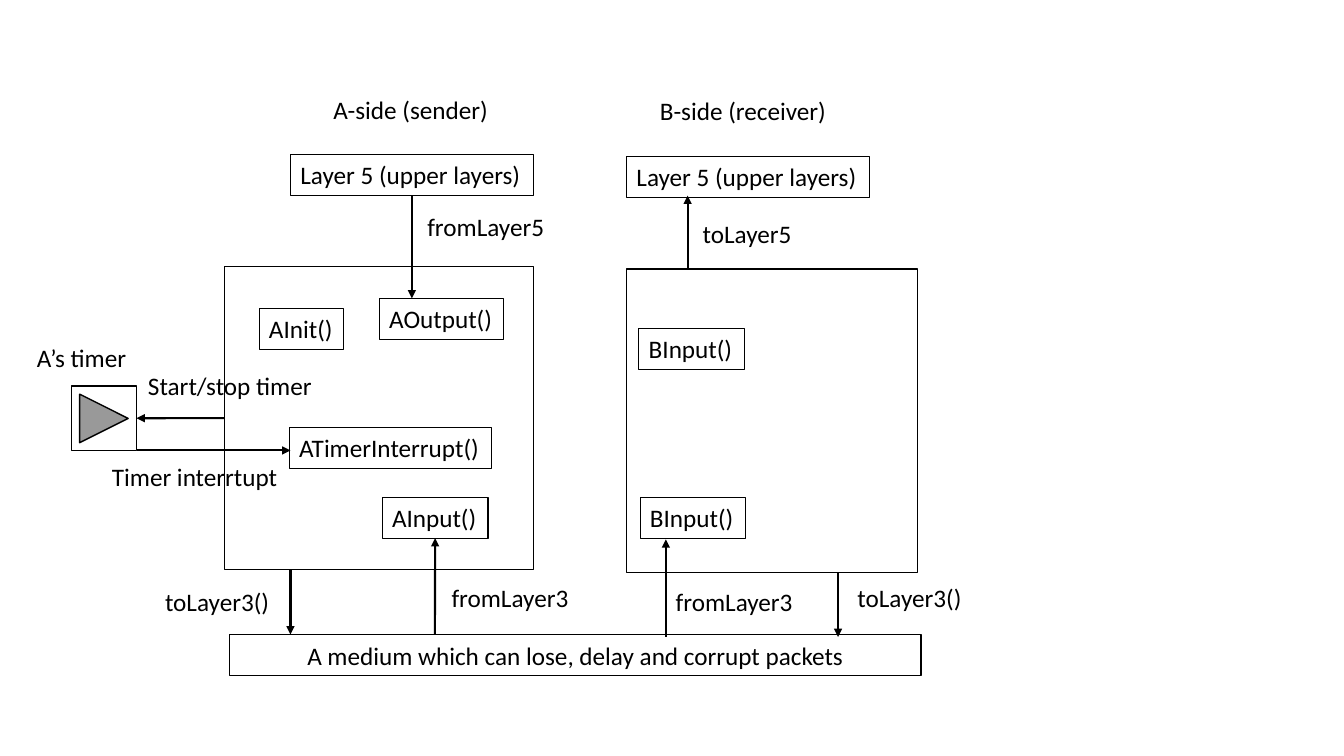
"""Builds a slide of the sender and receiver sides of a layered protocol simulator."""
from dataclasses import dataclass
from typing import Optional

import pptx
import pptx.dml.color
import pptx.enum.shapes
import pptx.enum.text
import pptx.oxml
import pptx.oxml.ns
import pptx.util
from pptx.util import Cm

COLORS = {"ink": "000000", "paper": "FFFFFF"}
FONT = "Calibri"
ROW_H = 1.03
RECT = pptx.enum.shapes.MSO_SHAPE.RECTANGLE
BUTTON = pptx.enum.shapes.MSO_SHAPE.ACTION_BUTTON_FORWARD_OR_NEXT


@dataclass
class Panel:
    key: str
    x: float
    y: float
    w: float
    h: float
    kind: int = RECT
    text: str = ""


@dataclass
class Label:
    key: str
    text: str
    x: float
    y: float
    w: float
    boxed: bool = False


@dataclass
class Arrow:
    x1: float
    y1: float
    x2: float
    y2: float
    start: Optional[tuple[str, int]] = None
    end: Optional[tuple[str, int]] = None


PANELS = [
    Panel("A side", 5.66, 6.71, 7.79, 7.65),
    Panel("B side", 15.79, 6.78, 7.34, 7.65),
    Panel("Medium", 5.79, 15.99, 17.42, ROW_H, text="A medium which can lose, delay and corrupt packets"),
    Panel("Timer", 1.8, 9.73, 1.64, 1.63, BUTTON),
]

LABELS = [
    Label("A title", "A-side (sender)", 8.15, 2.26, 4.47),
    Label("B title", "B-side (receiver)", 16.38, 2.27, 4.75),
    Label("A layer 5", "Layer 5 (upper layers)", 7.32, 3.89, 6.12, True),
    Label("B layer 5", "Layer 5 (upper layers)", 15.79, 3.95, 6.12, True),
    Label("A output", "AOutput()", 9.56, 7.52, 3.13, True),
    Label("A init", "AInit()", 6.53, 7.78, 2.14, True),
    Label("A timer interrupt", "ATimerInterrupt()", 7.29, 10.77, 5.09, True),
    Label("A input", "AInput()", 9.63, 12.53, 2.67, True),
    Label("B upper input", "BInput()", 16.1, 8.28, 2.67, True),
    Label("B lower input", "BInput()", 16.13, 12.53, 2.67, True),
    Label("A from layer 5", "fromLayer5", 10.52, 5.21, 3.48),
    Label("B to layer 5", "toLayer5", 17.46, 5.37, 2.77),
    Label("Timer caption", "A’s timer", 0.68, 8.49, 2.79),
    Label("Timer start", "Start/stop timer", 3.48, 9.2, 4.67),
    Label("Timer signal", "Timer interrtupt", 2.57, 11.51, 4.72),
    Label("A to layer 3", "toLayer3()", 3.91, 14.64, 3.18),
    Label("A from layer 3", "fromLayer3", 11.13, 14.56, 3.48),
    Label("B from layer 3", "fromLayer3", 16.78, 14.64, 3.48),
    Label("B to layer 3", "toLayer3()", 21.36, 14.56, 3.18),
]

ARROWS = [
    Arrow(10.38, 4.92, 10.38, 7.52, start=("A layer 5", 2)),
    Arrow(17.33, 6.78, 17.33, 4.93),
    Arrow(5.66, 10.54, 3.44, 10.54, start=("A side", 1)),
    Arrow(3.44, 11.35, 7.32, 11.35),
    Arrow(7.32, 14.36, 7.32, 15.99),
    Arrow(10.96, 15.99, 10.96, 13.56, end=("A input", 2)),
    Arrow(16.78, 16.05, 16.78, 13.59),
    Arrow(21.12, 14.43, 21.12, 16.05),
]


def rgb(key: str) -> pptx.dml.color.RGBColor:
    """Return a colour by its key."""
    return pptx.dml.color.RGBColor.from_string(COLORS[key])


def outline(sp, width: float) -> None:
    """Give a shape or connector a black line."""
    sp.line.color.rgb = rgb("ink")
    sp.line.width = pptx.util.Pt(width)


def write(sp, text: str) -> None:
    """Set and format the text of a shape."""
    sp.text_frame.text = text
    for r in sp.text_frame.paragraphs[0].runs:
        r.font.name = FONT
        r.font.size = pptx.util.Pt(18)
        r.font.color.rgb = rgb("ink")


def draw_panel(s, panel: Panel):
    """Draw a filled panel with centred text."""
    sp = s.shapes.add_shape(panel.kind, Cm(panel.x), Cm(panel.y), Cm(panel.w), Cm(panel.h))
    sp.shadow.inherit = False
    sp.fill.solid()
    sp.fill.fore_color.rgb = rgb("paper")
    outline(sp, 1)
    if panel.text:
        write(sp, panel.text)
        sp.text_frame.vertical_anchor = pptx.enum.text.MSO_ANCHOR.MIDDLE
        sp.text_frame.paragraphs[0].alignment = pptx.enum.text.PP_ALIGN.CENTER
    return sp


def draw_label(s, label: Label):
    """Draw a one-line label, outlined when boxed."""
    sp = s.shapes.add_textbox(Cm(label.x), Cm(label.y), Cm(label.w), Cm(ROW_H))
    write(sp, label.text)
    sp.text_frame.word_wrap = False
    sp.text_frame.auto_size = pptx.enum.text.MSO_AUTO_SIZE.SHAPE_TO_FIT_TEXT
    if label.boxed:
        outline(sp, 0.75)
    return sp


def draw_arrow(s, arrow: Arrow, shapes: dict) -> None:
    """Draw a straight arrow and join it to the shapes it refers to."""
    line = s.shapes.add_connector(
        pptx.enum.shapes.MSO_CONNECTOR.STRAIGHT,
        Cm(arrow.x1), Cm(arrow.y1), Cm(arrow.x2), Cm(arrow.y2),
    )
    if arrow.start:
        line.begin_connect(shapes[arrow.start[0]], arrow.start[1])
    if arrow.end:
        line.end_connect(shapes[arrow.end[0]], arrow.end[1])
    outline(line, 1.5)
    tail = pptx.oxml.parse_xml(f'<a:tailEnd {pptx.oxml.ns.nsdecls("a")} type="triangle"/>')
    line.line._get_or_add_ln().append(tail)
    effects = pptx.oxml.parse_xml(f'<a:effectLst {pptx.oxml.ns.nsdecls("a")}/>')
    line._element.spPr.append(effects)


def main() -> None:
    """Build and save the slide."""
    prs = pptx.Presentation()
    prs.slide_width, prs.slide_height = Cm(33.87), Cm(19.05)
    s = prs.slides.add_slide(prs.slide_layouts[6])
    shapes = {panel.key: draw_panel(s, panel) for panel in PANELS}
    shapes.update({label.key: draw_label(s, label) for label in LABELS})
    for arrow in ARROWS:
        draw_arrow(s, arrow, shapes)
    prs.save("out.pptx")


if __name__ == "__main__":
    main()
